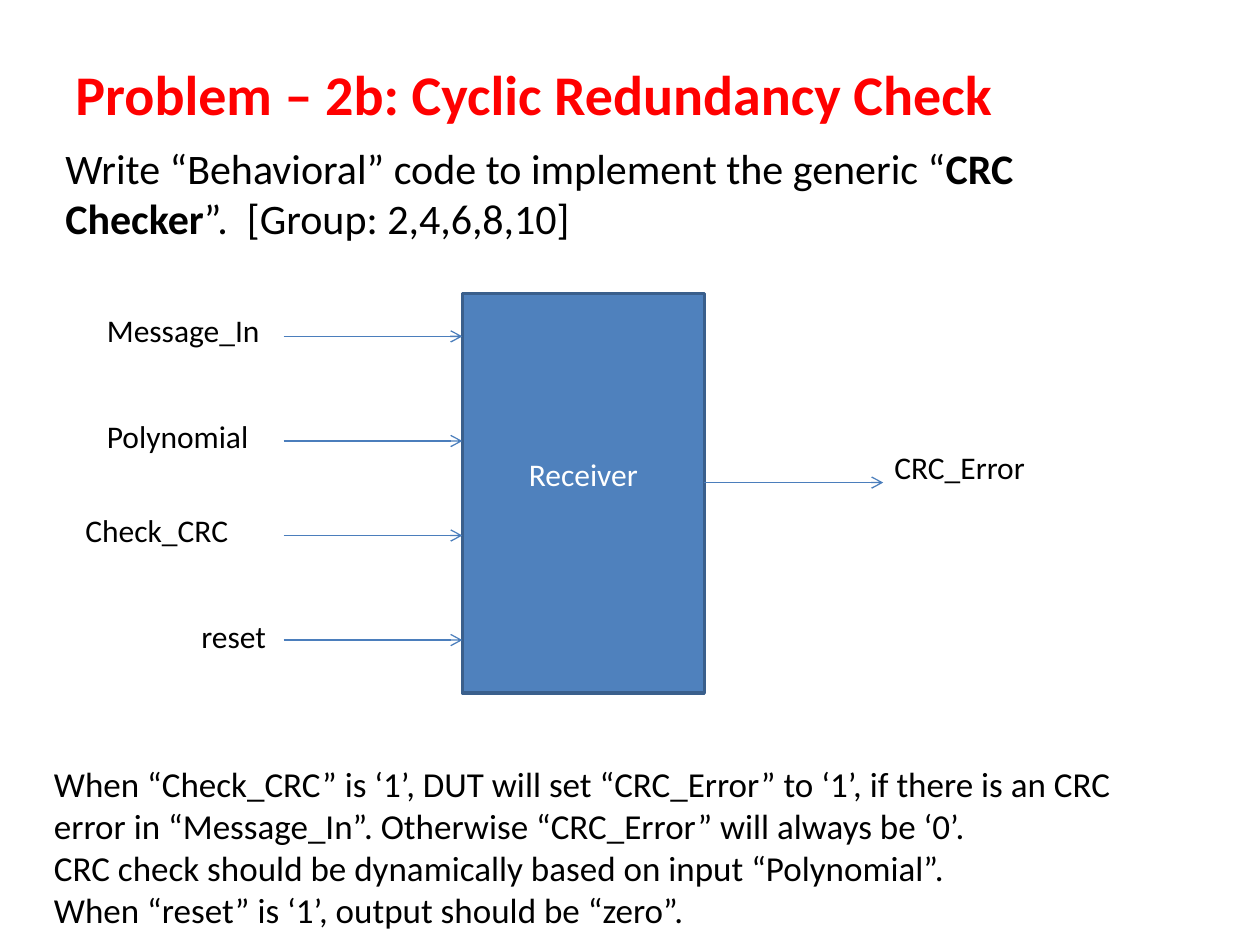
from lxml import etree
from pptx import Presentation
from pptx.dml.color import RGBColor
from pptx.enum import shapes, text
from pptx.oxml.ns import qn
from pptx.util import Inches, Pt

FONT = "Calibri"
COLORS = {
    "title": "FF0000",
    "text": "000000",
    "block": "4F81BD",
    "block_line": "3A5F8C",
    "block_text": "FFFFFF",
    "arrow": "4B7EBC",
}

TITLE = "Problem – 2b: Cyclic Redundancy Check"
# Each paragraph is a list of (text, bold) runs.
TASK = [[
    ("Write “Behavioral” code to implement the generic “", False),
    ("CRC Checker", True),
    ("”.  [Group: 2,4,6,8,10]", False),
]]
RULES = [
    "When “Check_CRC” is ‘1’, DUT will set “CRC_Error” to ‘1’, if there is an CRC "
    "error in “Message_In”. Otherwise “CRC_Error” will always be ‘0’.",
    "CRC check should be dynamically based on input “Polynomial”.",
    "When “reset” is ‘1’, output should be “zero”.",
]

BLOCK_NAME = "Receiver"
BLOCK = (3.67, 2.33, 1.92, 3.17)
ARROW_LENGTH = 1.42
LABEL_HEIGHT = 0.4
# Signal name, label left, label top, label width, arrow height on the slide
INPUTS = [
    ("Message_In", 0.75, 2.42, 1.5, 2.67),
    ("Polynomial", 0.75, 3.26, 1.5, 3.5),
    ("Check_CRC", 0.58, 4.01, 1.83, 4.25),
    ("reset", 1.5, 4.85, 0.92, 5.08),
]
OUTPUTS = [("CRC_Error", 7, 3.51, 1.83, 3.83)]


def rgb(name):
    return RGBColor.from_string(COLORS[name])


def style(paragraph, size, color, bold=None):
    font = paragraph.font
    font.name, font.size, font.bold = FONT, Pt(size), bold
    font.color.rgb = rgb(color)


def add_text(slide, box, paragraphs, size, color="text", bold=None):
    """Add a wrapping text box; a paragraph is a string or a list of runs."""
    frame = slide.shapes.add_textbox(*map(Inches, box)).text_frame
    frame.word_wrap = True
    for index, content in enumerate(paragraphs):
        paragraph = frame.add_paragraph() if index else frame.paragraphs[0]
        style(paragraph, size, color, bold)
        if isinstance(content, str):
            content = [(content, bold)]
        for words, run_bold in content:
            run = paragraph.add_run()
            run.text = words
            run.font.bold = run_bold


def add_block(slide):
    block = slide.shapes.add_shape(
        shapes.MSO_SHAPE.RECTANGLE, *map(Inches, BLOCK))
    block.shadow.inherit = False
    block.fill.solid()
    block.fill.fore_color.rgb = rgb("block")
    block.line.color.rgb = rgb("block_line")
    block.line.width = Pt(2)
    frame = block.text_frame
    frame.vertical_anchor = text.MSO_ANCHOR.MIDDLE
    frame.margin_bottom = Inches(0.35)  # lifts the name above the centre
    paragraph = frame.paragraphs[0]
    paragraph.text = BLOCK_NAME
    paragraph.alignment = text.PP_ALIGN.CENTER
    style(paragraph, 18, "block_text")


def add_arrow(slide, left, y):
    arrow = slide.shapes.add_connector(
        shapes.MSO_CONNECTOR.STRAIGHT,
        Inches(left), Inches(y), Inches(left + ARROW_LENGTH), Inches(y))
    arrow.line.color.rgb = rgb("arrow")
    arrow.line.width = Pt(0.75)
    etree.SubElement(arrow.line._get_or_add_ln(), qn("a:tailEnd"), type="arrow")
    etree.SubElement(arrow._element.spPr, qn("a:effectLst"))


def add_signals(slide, signals, arrow_left):
    for name, left, top, width, arrow_y in signals:
        add_arrow(slide, arrow_left, arrow_y)
        add_text(slide, (left, top, width, LABEL_HEIGHT), [name], 18)


def main():
    presentation = Presentation()
    presentation.slide_width = Inches(10)
    presentation.slide_height = Inches(7.5)
    slide = presentation.slides.add_slide(presentation.slide_layouts[6])

    add_text(slide, (0.5, 0.42, 9, 6.28), [TITLE], 32, "title", True)
    add_block(slide)
    block_left, _, block_width, _ = BLOCK
    add_signals(slide, INPUTS, block_left - ARROW_LENGTH)
    add_signals(slide, OUTPUTS, block_left + block_width)
    add_text(slide, (0.42, 1.08, 8.92, 0.91), TASK, 24)
    add_text(slide, (0.33, 6, 9, 1.45), RULES, 20)

    presentation.save("out.pptx")


if __name__ == "__main__":
    main()
